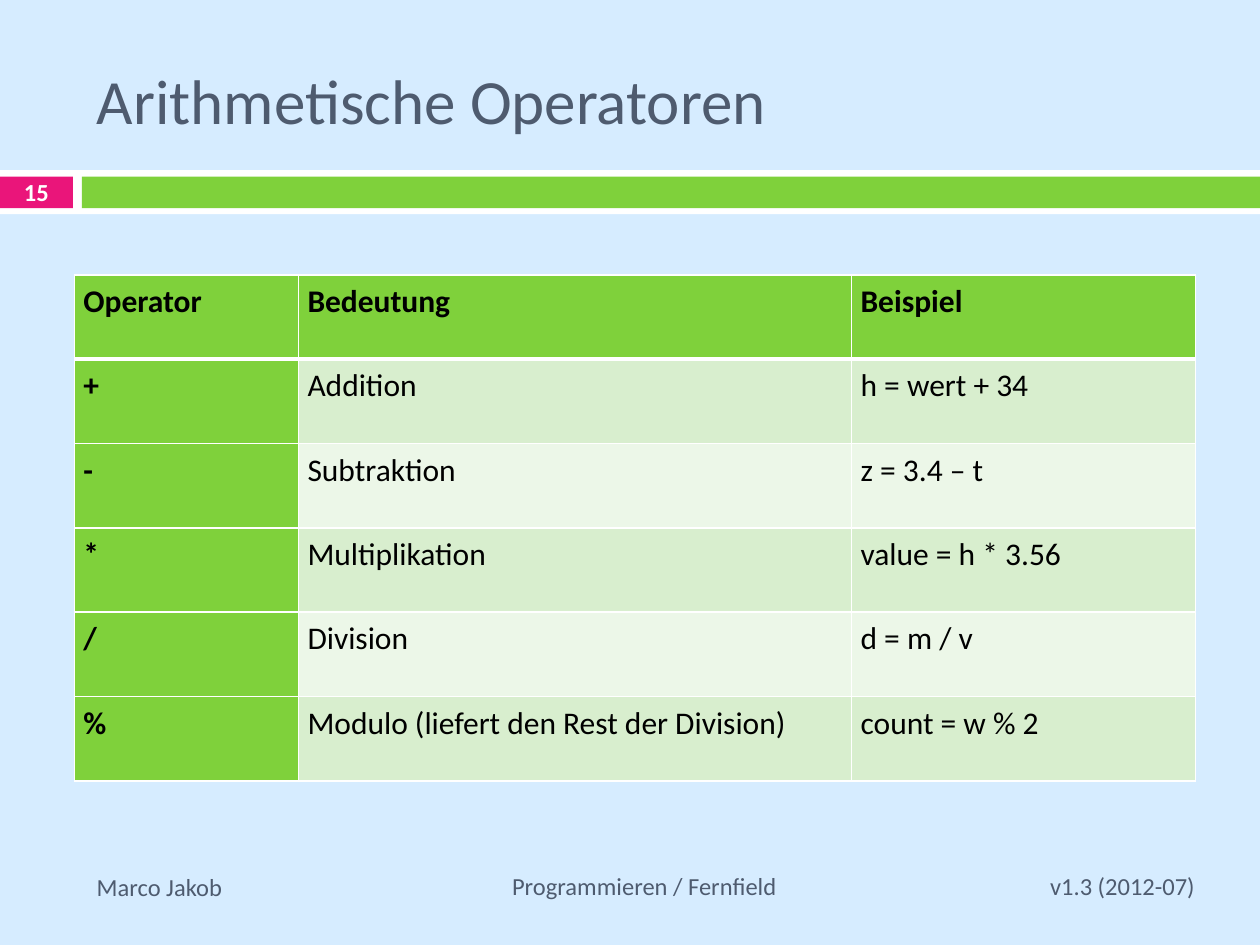
import pptx
import pptx.dml.color
import pptx.enum.shapes
import pptx.enum.text
import pptx.oxml
import pptx.oxml.ns
import pptx.util

Cm = pptx.util.Cm
Pt = pptx.util.Pt
ALIGN = pptx.enum.text.PP_ALIGN
ANCHOR = pptx.enum.text.MSO_ANCHOR

SKY, GREEN, PINK, WHITE, SLATE, BLACK = (
    "D6ECFF", "7FD13B", "EA157A", "FFFFFF", "4E5B6F", "000000")
ROW_TINTS = ("D8EECE", "ECF7E8")

TITLE = ("Arithmetische Operatoren", (1.7, 0.64, 22.66, 2.74))
BANDS = [
    (WHITE, (0, 3.43, 25.4, 0.89)),
    (PINK, (0, 3.56, 1.47, 0.64)),
    (GREEN, (1.65, 3.56, 23.75, 0.64)),
]
LABELS = [
    ("Marco Jakob", (1.7, 17.45, 3.99, 0.86), ALIGN.LEFT, ANCHOR.TOP, SLATE, False),
    ("v1.3 (2012-07)", (20.35, 17.35, 3.99, 1.02), ALIGN.RIGHT, ANCHOR.MIDDLE, SLATE, False),
    ("Programmieren / Fernfield", (5.89, 17.35, 14.2, 1.02), ALIGN.CENTER, ANCHOR.MIDDLE, SLATE, False),
    ("15", (0, 3.33, 1.47, 1.09), ALIGN.CENTER, ANCHOR.MIDDLE, WHITE, True),
]
OPERATORS = [
    ("Operator", "Bedeutung", "Beispiel"),
    ("+", "Addition", "h = wert + 34"),
    ("-", "Subtraktion", "z = 3.4 – t"),
    ("*", "Multiplikation", "value = h * 3.56"),
    ("/", "Division", "d = m / v"),
    ("%", "Modulo (liefert den Rest der Division)", "count = w % 2"),
]
COLUMN_WIDTHS = (4.52, 11.15, 6.93)
ROW_HEIGHT = 1.7
TABLE_CORNER = (1.5, 5.54)


def color(value):
    return pptx.dml.color.RGBColor.from_string(value)


def lengths(values):
    return [Cm(value) for value in values]


def apply(target, settings):
    for name, value in settings.items():
        setattr(target, name, value)


def paint(target, value):
    target.fill.solid()
    target.fill.fore_color.rgb = color(value)


def write(frame, text, size, shade, bold=False, **layout):
    para = frame.paragraphs[0]
    apply(para, layout)
    span = para.add_run()
    span.text = text
    apply(span.font, {"name": "Calibri", "size": Pt(size), "bold": bold})
    span.font.color.rgb = color(shade)


def add_borders(cell, widths):
    properties = cell._tc.get_or_add_tcPr()
    for side, width in widths.items():
        properties.append(pptx.oxml.parse_xml(
            f'<a:ln{side} {pptx.oxml.ns.nsdecls("a")} w="{Pt(width)}">'
            f'<a:solidFill><a:srgbClr val="{WHITE}"/></a:solidFill></a:ln{side}>'))


def add_title(page):
    text, place = TITLE
    box = page.shapes.title
    apply(box, dict(zip(("left", "top", "width", "height"), lengths(place))))
    apply(box.text_frame, {"vertical_anchor": ANCHOR.MIDDLE, "word_wrap": True,
                           "auto_size": pptx.enum.text.MSO_AUTO_SIZE.NONE})
    write(box.text_frame, text, 36, SLATE, alignment=ALIGN.LEFT)


def add_bands(page):
    for shade, place in BANDS:
        band = page.shapes.add_shape(
            pptx.enum.shapes.MSO_SHAPE.RECTANGLE, *lengths(place))
        band.shadow.inherit = False
        band.line.fill.background()
        paint(band, shade)


def add_labels(page):
    for text, place, alignment, anchor, shade, bold in LABELS:
        frame = page.shapes.add_textbox(*lengths(place)).text_frame
        apply(frame, {"word_wrap": True, "vertical_anchor": anchor})
        write(frame, text, 14, shade, bold, alignment=alignment)


def add_operator_table(page):
    size = (sum(COLUMN_WIDTHS), ROW_HEIGHT * len(OPERATORS))
    table = page.shapes.add_table(
        len(OPERATORS), len(COLUMN_WIDTHS), *lengths(TABLE_CORNER + size)).table
    for column, width in zip(table.columns, COLUMN_WIDTHS):
        column.width = Cm(width)
    for row_index, texts in enumerate(OPERATORS):
        table.rows[row_index].height = Cm(ROW_HEIGHT)
        for column_index, text in enumerate(texts):
            cell = table.cell(row_index, column_index)
            heading = row_index == 0 or column_index == 0
            apply(cell, {"margin_left": Cm(0.18), "margin_right": Cm(0.18),
                         "margin_top": 0, "margin_bottom": 0})
            add_borders(cell, {"L": 1, "R": 1,
                               "T": 3 if row_index == 1 else 1,
                               "B": 3 if row_index == 0 else 1})
            paint(cell, GREEN if heading else ROW_TINTS[(row_index - 1) % 2])
            write(cell.text_frame, text, 18, BLACK, heading, line_spacing=1.2)


def main():
    deck = pptx.Presentation()
    apply(deck, {"slide_width": Cm(25.4), "slide_height": Cm(19.05)})
    page = deck.slides.add_slide(deck.slide_layouts[5])
    paint(page.background, SKY)
    add_bands(page)
    add_title(page)
    add_labels(page)
    add_operator_table(page)
    deck.save("out.pptx")


if __name__ == "__main__":
    main()
